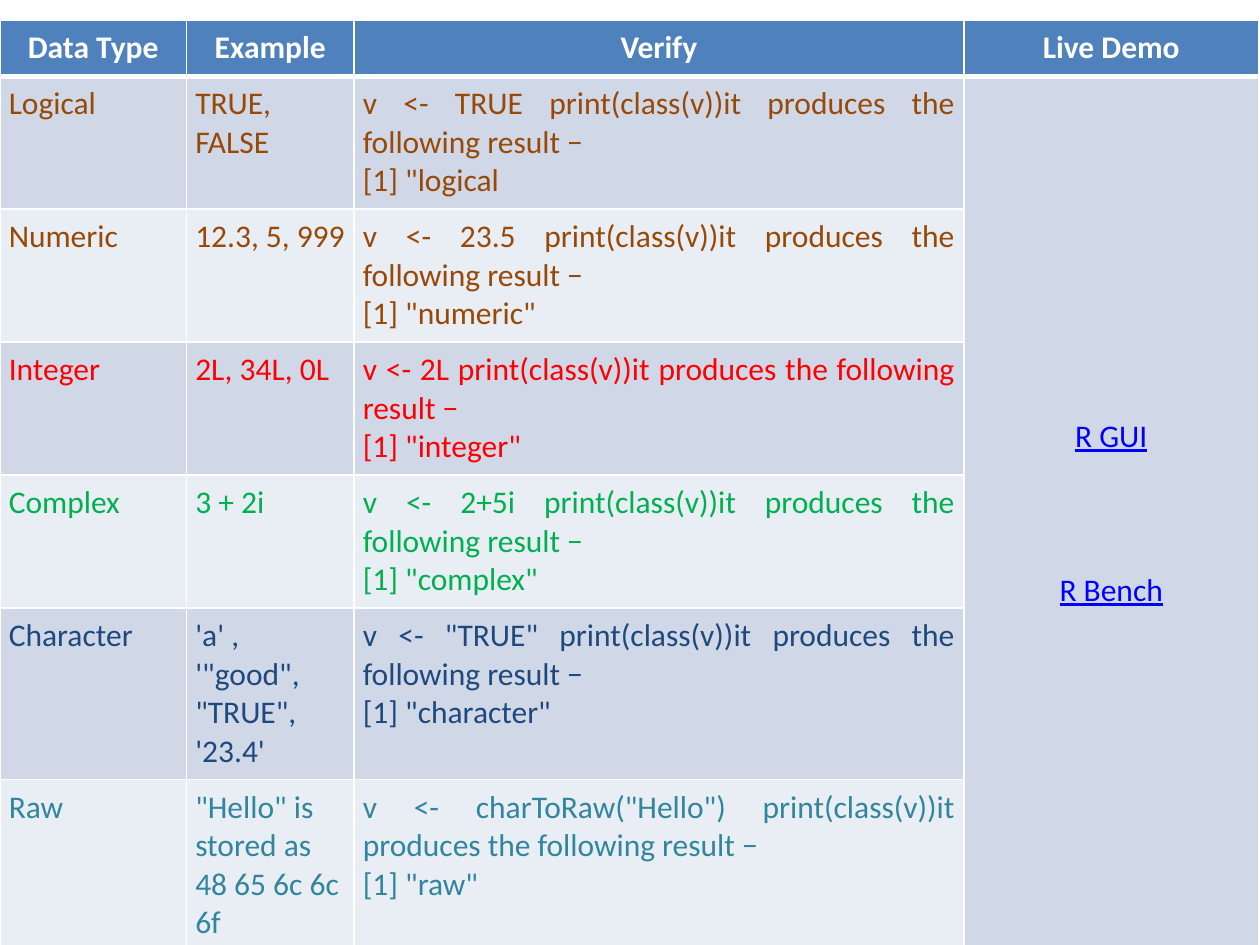
import pptx
import pptx.util
import pptx.dml.color
import pptx.enum.text
import pptx.oxml
import pptx.oxml.ns

Inches, Pt = pptx.util.Inches, pptx.util.Pt
Color = pptx.dml.color.RGBColor.from_string
ALIGN = pptx.enum.text.PP_ALIGN
ANCHOR = pptx.enum.text.MSO_ANCHOR

# Content: type, colour name, examples, expression to verify, printed class
HEADINGS = ["Data Type", "Example", "Verify", "Live Demo"]
DATA_TYPES = [
    ("Logical", "brown", "TRUE, FALSE", "TRUE", '"logical'),
    ("Numeric", "brown", "12.3, 5, 999", "23.5", '"numeric"'),
    ("Integer", "red", "2L, 34L, 0L", "2L", '"integer"'),
    ("Complex", "green", "3 + 2i", "2+5i", '"complex"'),
    ("Character", "navy", "'a' , '\"good\", \"TRUE\", '23.4'", '"TRUE"', '"character"'),
    ("Raw", "teal", '"Hello" is stored as 48 65 6c 6c 6f', 'charToRaw("Hello")', '"raw"'),
]
DEMOS = ["R GUI", "R Bench"]

THEME = {
    "font": "Calibri", "size": 18, "inset": 0.07, "demo_gap": 66,
    "line": 1, "header_line": 3,
    "white": "FFFFFF", "header": "4F81BD", "bands": ["D0D8E8", "E9EDF4"],
    "brown": "984807", "red": "FF0000", "green": "00B050",
    "navy": "1F497D", "teal": "31859C", "link": "0000FF",
}
COLUMN_WIDTHS = [1.48, 1.33, 4.84, 2.34]
ROW_HEIGHTS = [0.41] + [0.97] * 4 + [1.26] * 2


def set_all(target, values):
    for name, value in values.items():
        setattr(target, name, value)


def add_border(cell, side, width):
    line = pptx.oxml.parse_xml(
        f'<a:{side} {pptx.oxml.ns.nsdecls("a")} w="{Pt(width)}"><a:solidFill>'
        f'<a:srgbClr val="{THEME["white"]}"/></a:solidFill></a:{side}>')
    cell._tc.get_or_add_tcPr().append(line)


def style_cell(cell, row):
    set_all(cell, {f"margin_{side}": Inches(THEME["inset"])
                   for side in ("left", "right", "top", "bottom")})
    for side in ("lnL", "lnR", "lnT", "lnB"):
        under_header = (row, side) in ((0, "lnB"), (1, "lnT"))
        add_border(cell, side, THEME["header_line" if under_header else "line"])
    cell.fill.solid()
    fill = THEME["bands"][(row - 1) % 2] if row else THEME["header"]
    cell.fill.fore_color.rgb = Color(fill)


def write(cell, lines, color, bold=False, underline=False, gap=0):
    """Fill a cell with (text, alignment) paragraphs."""
    for index, (text, alignment) in enumerate(lines):
        frame = cell.text_frame
        para = frame.add_paragraph() if index else frame.paragraphs[0]
        set_all(para, {"alignment": alignment,
                       "space_before": Pt(gap if index else 0)})
        span = para.add_run()
        span.text = text
        set_all(span.font, {"name": THEME["font"], "size": Pt(THEME["size"]),
                            "bold": bold, "underline": underline})
        span.font.color.rgb = Color(THEME[color])


deck = pptx.Presentation()
set_all(deck, {"slide_width": Inches(10), "slide_height": Inches(7.5)})
page = deck.slides.add_slide(deck.slide_layouts[6])

# Table grid
table = page.shapes.add_table(
    len(ROW_HEIGHTS), len(COLUMN_WIDTHS), Inches(0), Inches(0.16),
    Inches(sum(COLUMN_WIDTHS)), Inches(sum(ROW_HEIGHTS))).table
for column, width in zip(table.columns, COLUMN_WIDTHS):
    column.width = Inches(width)
for row, (band, height) in enumerate(zip(table.rows, ROW_HEIGHTS)):
    band.height = Inches(height)
    for cell in band.cells:
        style_cell(cell, row)

# Header row
for column, heading in enumerate(HEADINGS):
    write(table.cell(0, column), [(heading, ALIGN.CENTER)], "white", bold=True)

# One row per data type
for row, (name, color, example, value, result) in enumerate(DATA_TYPES, start=1):
    check = f"v <- {value} print(class(v))it produces the following result −"
    columns = [
        [(name, ALIGN.LEFT)],
        [(example, ALIGN.LEFT)],
        [(check, ALIGN.JUSTIFY), (f"[1] {result}", ALIGN.LEFT)],
    ]
    for column, lines in enumerate(columns):
        write(table.cell(row, column), lines, color)

# Live demos span all the data rows
demo = table.cell(1, 3)
demo.merge(table.cell(len(DATA_TYPES), 3))
demo.vertical_anchor = ANCHOR.MIDDLE
write(demo, [(name, ALIGN.CENTER) for name in DEMOS], "link",
      underline=True, gap=THEME["demo_gap"])

deck.save("out.pptx")
